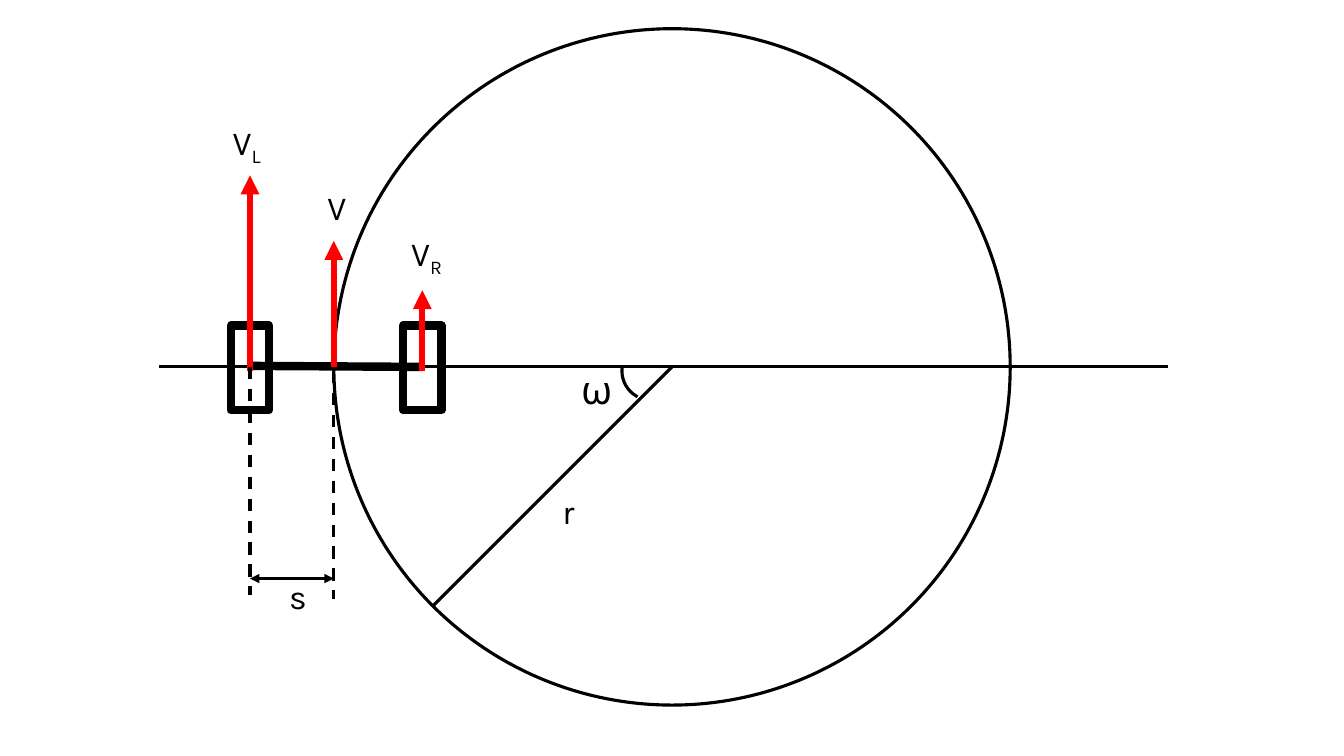
import math

import pptx
import pptx.dml.color
import pptx.enum.dml
import pptx.enum.shapes
import pptx.enum.text
import pptx.oxml
import pptx.oxml.ns
import pptx.util

COLORS = {"ink": "000000", "velocity": "FF0000"}
SHAPES = pptx.enum.shapes.MSO_SHAPE
COLUMNS, ROWS = 80, 45


class Diagram:
    font = "Karla"
    thin, medium, thick = 2.25, 4.5, 6

    def __init__(self, deck):
        self.page = deck.slides.add_slide(deck.slide_layouts[6])
        self.column = deck.slide_width / COLUMNS
        self.row = deck.slide_height / ROWS

    def place(self, x, y):
        return round(x * self.column), round(y * self.row)

    def stroke(self, item, width, color):
        item.line.color.rgb = pptx.dml.color.RGBColor.from_string(COLORS[color])
        item.line.width = pptx.util.Pt(width)

    def outline(self, kind, center, size, width=thin):
        (x, y), (across, down) = center, size
        shape = self.page.shapes.add_shape(
            kind, *self.place(x - across / 2, y - down / 2), *self.place(across, down))
        shape.shadow.inherit = False
        shape.fill.background()
        self.stroke(shape, width, "ink")
        return shape

    def arc(self, center, size, start, end):
        shape = self.outline(SHAPES.ARC, center, (size, size))
        for index, degrees in enumerate((start, end)):
            shape.adjustments[index] = degrees * 0.6

    def line(self, start, end, width=thin, color="ink", heads=(), dashed=False):
        connector = self.page.shapes.add_connector(
            pptx.enum.shapes.MSO_CONNECTOR.STRAIGHT, *self.place(*start), *self.place(*end))
        self.stroke(connector, width, color)
        if dashed:
            connector.line.dash_style = pptx.enum.dml.MSO_LINE.DASH
        properties = connector._element.spPr
        outline = properties.find(pptx.oxml.ns.qn("a:ln"))
        for head in heads:
            outline.append(pptx.oxml.parse_xml(
                f'<a:{head} {pptx.oxml.ns.nsdecls("a")} type="triangle"/>'))
        properties.append(pptx.oxml.parse_xml(
            f'<a:effectLst {pptx.oxml.ns.nsdecls("a")}/>'))

    def label(self, text, x, y, width, subscript="", size=24, height=3):
        box = self.page.shapes.add_textbox(*self.place(x, y), *self.place(width, height))
        box.text_frame.word_wrap = True
        box.text_frame.auto_size = pptx.enum.text.MSO_AUTO_SIZE.SHAPE_TO_FIT_TEXT
        para = box.text_frame.paragraphs[0]
        para.font.name = self.font
        para.font.size = pptx.util.Pt(size)
        para.font.color.rgb = pptx.dml.color.RGBColor.from_string(COLORS["ink"])
        para.add_run().text = text
        if subscript:
            span = para.add_run()
            span.text = subscript
            span._r.get_or_add_rPr().set("baseline", "-25000")


def main():
    deck = pptx.Presentation()
    deck.slide_width = pptx.util.Inches(13.33)
    deck.slide_height = pptx.util.Inches(7.5)
    diagram = Diagram(deck)

    center_x, axle_y, radius = 40, 21.84, 20.13
    left_wheel, middle, right_wheel = 14.88, center_x - radius, 25.14
    diagonal = radius * math.sqrt(0.5)

    diagram.outline(SHAPES.OVAL, (center_x, axle_y), (2 * radius, 2 * radius))
    diagram.line((9.48, axle_y), (69.54, axle_y))
    diagram.line((center_x - diagonal, axle_y + diagonal), (center_x, axle_y))
    diagram.arc((38.76, 22.08), 3.48, 117.8, 187)
    diagram.label("ω", 34.02, 21.48, 2.76, size=28, height=3.42)

    for wheel in (left_wheel, right_wheel):
        diagram.outline(SHAPES.RECTANGLE, (wheel, 21.9), (2.28, 5.04), diagram.thick)
    diagram.line((left_wheel, 21.78), (right_wheel, axle_y), diagram.thick)

    for x, start, tip in ((middle, axle_y, 14.34), (right_wheel, 22.08, 17.28),
                          (left_wheel, 22.08, 10.44)):
        diagram.line((x, start), (x, tip), diagram.medium, "velocity", ("tailEnd",))

    diagram.label("r", 32.88, 28.92, 2.76)
    diagram.label("s", 16.62, 33.96, 1.5)
    diagram.label("V", 13.26, 6.96, 4.68, "L")
    diagram.label("V", 18.9, 10.86, 2.22)
    diagram.label("V", 23.88, 13.56, 4.86, "R")

    for x, top in ((left_wheel, axle_y), (middle, 22.08)):
        diagram.line((x, top), (x, top + 13.56), dashed=True)
    diagram.line((left_wheel, 34.44), (middle, 34.44), heads=("headEnd", "tailEnd"))

    deck.save("out.pptx")


if __name__ == "__main__":
    main()
